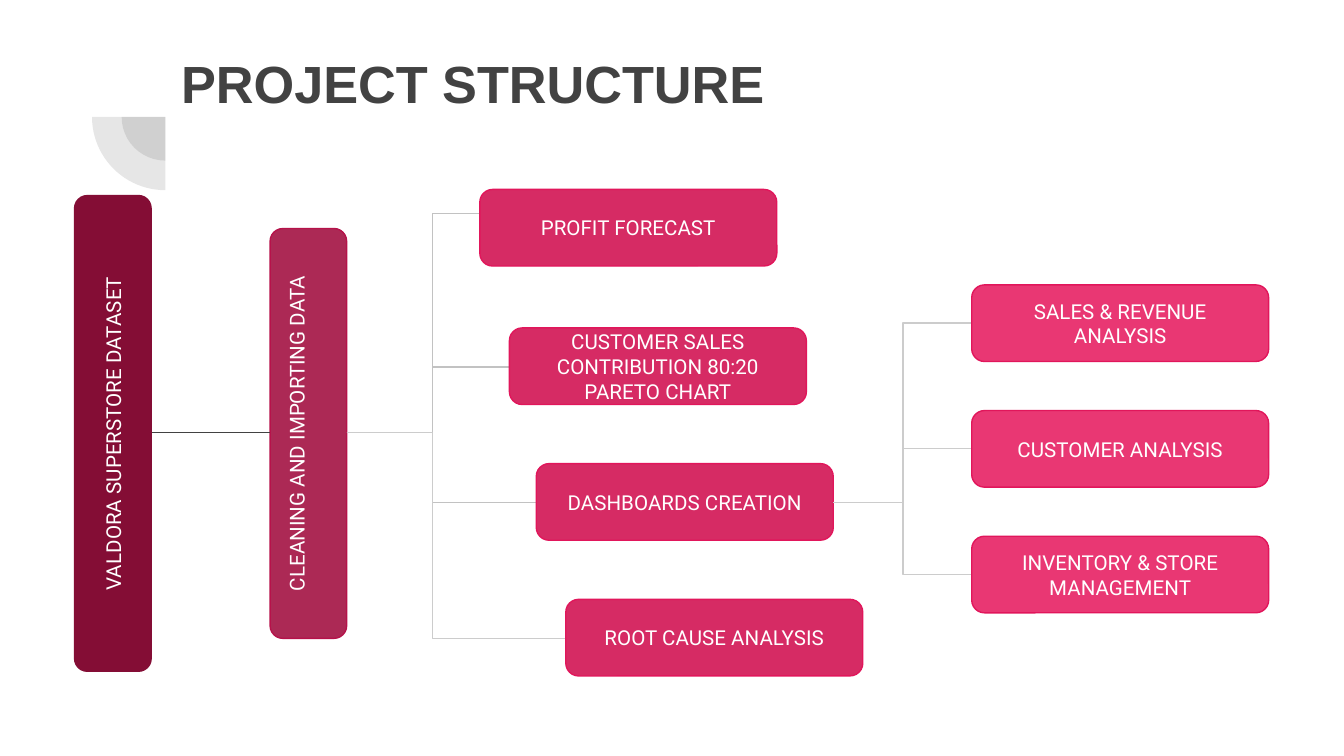
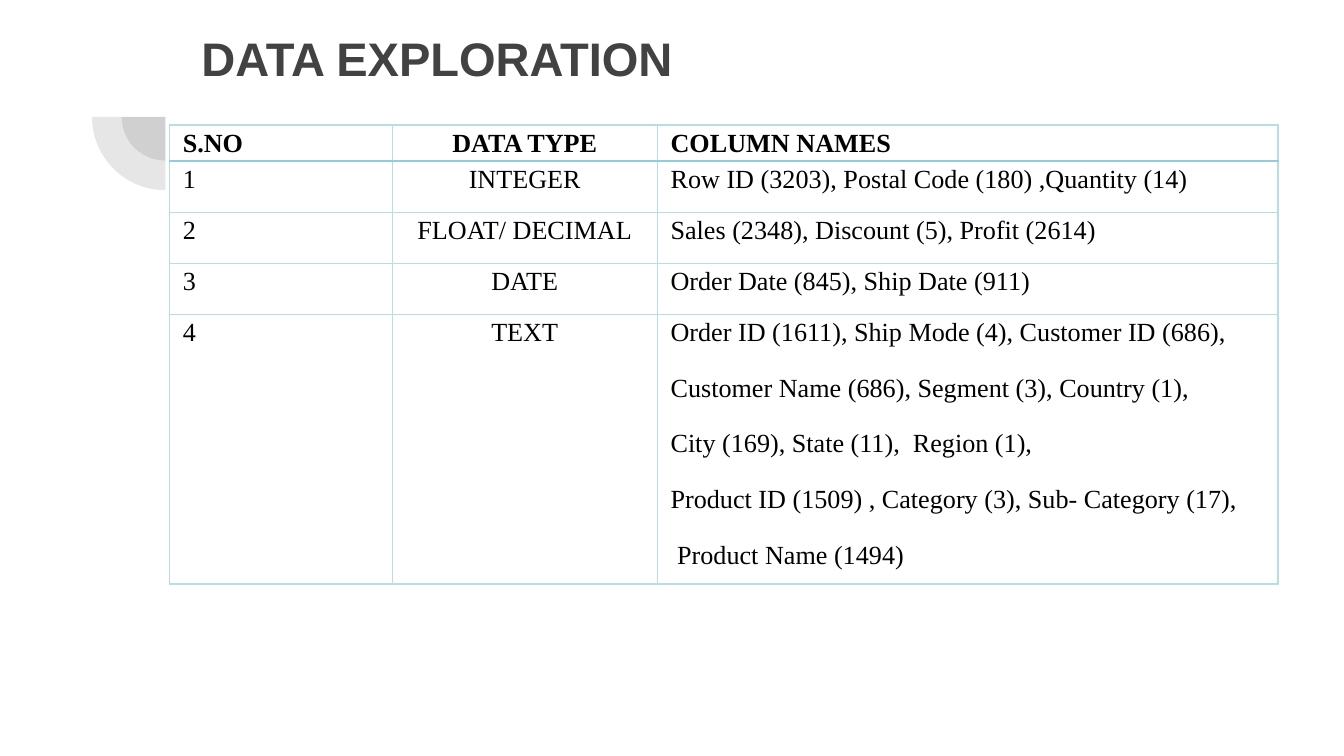
from lxml import etree
from pptx import Presentation
from pptx.dml.color import RGBColor
from pptx.enum.shapes import MSO_CONNECTOR, MSO_SHAPE
from pptx.enum.text import MSO_ANCHOR, PP_ALIGN
from pptx.oxml import parse_xml
from pptx.oxml.ns import nsdecls, qn
from pptx.util import Inches, Pt

# Shared look
DARK, WHITE, BLACK = "424242", "FFFFFF", "000000"
WINE, BERRY, ROSE, PINK = "840D35", "AC2955", "D62B64", "E93773"
EDGE, GREY, PALE = "E1165B", "C2C2C2", "CCCCCC"
GRID, RULE = "B6DDE8", "92CDDC"
BOX_W, BOX_H = 2.21, 0.57
MID = 3.22

COLS = [(1.66, PP_ALIGN.LEFT), (1.97, PP_ALIGN.CENTER), (4.62, PP_ALIGN.JUSTIFY)]
HEAD_H, ROW_H = 0.13, 0.38
ROWS = [
    ["S.NO", "DATA TYPE", "COLUMN NAMES"],
    ["1", "INTEGER", "Row ID (3203), Postal Code (180) ,Quantity (14)"],
    ["2", "FLOAT/ DECIMAL", "Sales (2348), Discount (5), Profit (2614)"],
    ["3", "DATE", "Order Date (845), Ship Date (911)"],
    ["4", "TEXT", "\n".join([
        "Order ID (1611), Ship Mode (4), Customer ID (686),",
        "Customer Name (686), Segment (3), Country (1),",
        "City (169), State (11),  Region (1),",
        "Product ID (1509) , Category (3), Sub- Category (17),",
        " Product Name (1494)"])],
]


def rgb(code):
    return RGBColor.from_string(code)


def style(para, font, size, color, bold=False):
    for run in para.runs:
        run.font.name = font
        run.font.size = Pt(size)
        run.font.bold = bold
        run.font.color.rgb = rgb(color)


def inset(frame, side, top):
    frame.margin_left = frame.margin_right = Inches(side)
    frame.margin_top = frame.margin_bottom = Inches(top)


def add_arc(slide, size):
    """Quarter disc whose corner is at (1.23, 0.87)."""
    arc = slide.shapes.add_shape(
        MSO_SHAPE.PIE, Inches(1.23 - size / 2), Inches(0.87 - size / 2),
        Inches(size), Inches(size))
    arc.rotation = 270
    arc.adjustments[0], arc.adjustments[1] = 108, 162
    arc.shadow.inherit = False
    arc.fill.solid()
    arc.fill.fore_color.rgb = rgb(DARK)
    tint = arc.fill._xPr.find(qn("a:solidFill"))[0]
    etree.SubElement(tint, qn("a:alpha"), val="13000")
    arc.line.fill.background()


def add_page(deck, title, left, top, height, size):
    slide = deck.slides.add_slide(deck.slide_layouts[6])
    for width in (0.65, 1.09):
        add_arc(slide, width)
    box = slide.shapes.add_textbox(
        Inches(left), Inches(top), Inches(7.69), Inches(height))
    frame = box.text_frame
    frame.word_wrap = True
    inset(frame, 0.1, 0.1)
    frame.text = title
    style(frame.paragraphs[0], "Arial", size, DARK, True)
    return slide


def add_box(slide, text, left, top, fill, edge=EDGE, width=BOX_W, turn=0):
    box = slide.shapes.add_shape(
        MSO_SHAPE.ROUNDED_RECTANGLE, Inches(left), Inches(top),
        Inches(width), Inches(BOX_H))
    box.rotation = turn
    box.shadow.inherit = False
    box.fill.solid()
    box.fill.fore_color.rgb = rgb(fill)
    box.line.color.rgb = rgb(edge)
    box.line.width = Pt(0.75)
    frame = box.text_frame
    frame.word_wrap = True
    frame.vertical_anchor = MSO_ANCHOR.MIDDLE
    inset(frame, 0.1, 0.1)
    frame.text = text
    para = frame.paragraphs[0]
    para.alignment = PP_ALIGN.CENTER
    style(para, "Roboto", 11, WHITE)
    return box


def add_line(slide, start, end, color, bend=None):
    """Straight line, or an elbow that turns at x = bend."""
    kind = MSO_CONNECTOR.ELBOW if bend else MSO_CONNECTOR.STRAIGHT
    line = slide.shapes.add_connector(
        kind, *(Inches(v) for v in (*start, *end)))
    line.line.color.rgb = rgb(color)
    line.line.width = Pt(0.75)
    props = line._element.spPr
    etree.SubElement(props, qn("a:effectLst"))
    if bend:
        part = round((bend - start[0]) / (end[0] - start[0]) * 100000)
        guides = props.find(qn("a:prstGeom")).get_or_add_avLst()
        etree.SubElement(guides, qn("a:gd"), name="adj1", fmla=f"val {part}")
    return line


def set_edge(cell, side, color, width):
    cell._tc.get_or_add_tcPr().append(parse_xml(
        f'<a:{side} {nsdecls("a")} w="{Pt(width)}"><a:solidFill>'
        f'<a:srgbClr val="{color}"/></a:solidFill></a:{side}>'))


def fill_cell(cell, text, align, row):
    inset(cell, 0.1, 0)
    for side in ("lnL", "lnR", "lnT", "lnB"):
        heavy = (row, side) in ((0, "lnB"), (1, "lnT"))
        set_edge(cell, side, *((RULE, 1.5) if heavy else (GRID, 0.75)))
    cell.fill.background()
    cell.text_frame.text = text
    for num, para in enumerate(cell.text_frame.paragraphs):
        para.alignment = align
        para.line_spacing = 1.15
        if num:
            para.space_before = Pt(12)
        style(para, "Times New Roman", 14, BLACK, row == 0)


def add_grid(slide, left, top, side):
    frame = slide.shapes.add_table(
        len(ROWS), len(COLS), Inches(left), Inches(top),
        Inches(side), Inches(side))
    grid = frame.table
    grid.first_row = grid.horz_banding = False
    for c, (size, _) in enumerate(COLS):
        grid.columns[c].width = Inches(size)
    for r, texts in enumerate(ROWS):
        grid.rows[r].height = Inches(ROW_H if r else HEAD_H)
        for c, text in enumerate(texts):
            fill_cell(grid.cell(r, c), text, COLS[c][1], r)
    # Row and column sizes reset the frame, so it is sized last
    frame.width = frame.height = Inches(side)


def draw_tree(slide):
    # Upright bars and the line between them
    data = add_box(slide, "VALDORA SUPERSTORE DATASET", -0.93, 2.94,
                   WINE, WINE, 3.54, 270)
    clean = add_box(slide, "CLEANING AND IMPORTING DATA", 0.77, 2.94,
                    BERRY, "B6124A", 3.05, 270)
    clean.text_frame.margin_bottom = Inches(0.28)
    link = add_line(slide, (1.13, MID), (2.01, MID), DARK)
    link.begin_connect(data, 2)
    link.end_connect(clean, 0)
    # Joining ignores rotation, so the ends are set again
    link.begin_x, link.end_x = Inches(1.13), Inches(2.01)
    link.begin_y = link.end_y = Inches(MID)

    # Tasks: text, left, top, line end, line colour
    tasks = [
        ("PROFIT FORECAST", 3.57, 1.41, (4.53, 1.59), GREY),
        ("CUSTOMER SALES CONTRIBUTION 80:20 PARETO CHART",
         3.79, 2.44, (3.79, 2.73), GREY),
        ("DASHBOARDS CREATION", 3.99, 3.45, (3.99, 3.74), GREY),
        ("ROOT CAUSE ANALYSIS", 4.21, 4.46, (4.21, 4.75), PALE),
    ]
    for text, left, top, end, color in tasks:
        add_line(slide, (2.58, MID), end, color, 3.22)
        add_box(slide, text, left, top, ROSE)

    # Dashboards
    views = ["SALES & REVENUE ANALYSIS", "CUSTOMER ANALYSIS",
             "INVENTORY & STORE MANAGEMENT"]
    for num, text in enumerate(views):
        top = 2.12 + 0.935 * num
        add_line(slide, (6.2, 3.74), (7.23, top + BOX_H / 2), PALE, 6.72)
        add_box(slide, text, 7.23, top, PINK)


def main():
    deck = Presentation()
    # Widescreen, 16 to 9
    deck.slide_width, deck.slide_height = Inches(10), Inches(10 * 9 / 16)
    draw_tree(add_page(deck, "PROJECT STRUCTURE", 1.25, 0.28, 0.67, 28))
    page = add_page(deck, "DATA EXPLORATION", 1.4, 0.12, 0.64, 25.2)
    add_grid(page, 1.26, 0.93, 3.28)
    deck.save("out.pptx")


if __name__ == "__main__":
    main()
